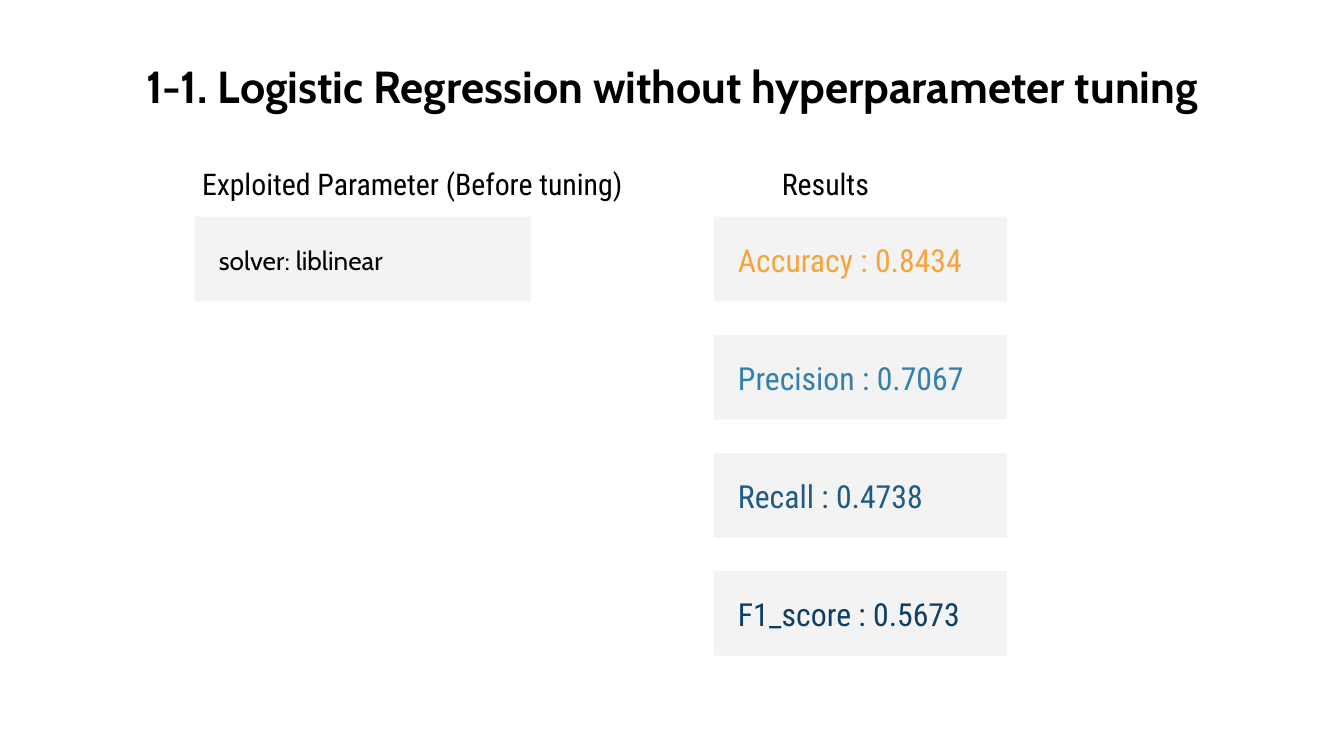
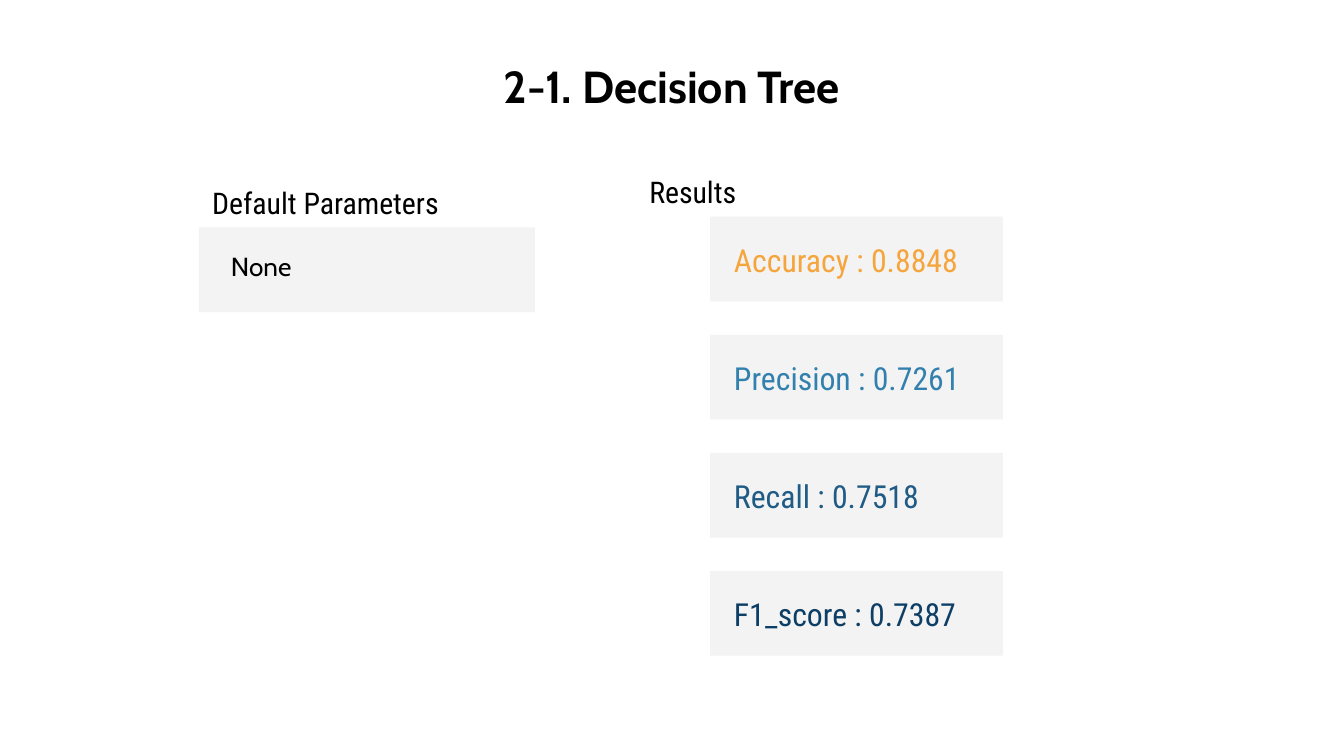
"""Build two slides that report classifier parameters and scores."""
import pptx
import pptx.util
import pptx.dml.color
import pptx.enum.shapes
import pptx.enum.text

RGBColor = pptx.dml.color.RGBColor
ALIGN = pptx.enum.text.PP_ALIGN
ANCHOR = pptx.enum.text.MSO_ANCHOR

BLACK = RGBColor(0x00, 0x00, 0x00)
WHITE = RGBColor(0xFF, 0xFF, 0xFF)
CARD_GREY = RGBColor(0xF3, 0xF3, 0xF3)
ORANGE = RGBColor(0xF6, 0xA5, 0x3C)
BLUE = RGBColor(0x32, 0x80, 0xAD)
DEEP_BLUE = RGBColor(0x1F, 0x5B, 0x84)
NAVY = RGBColor(0x0D, 0x3E, 0x65)

CELL = pptx.util.Inches(0.1)
COLUMNS, ROWS = 100, 56.25
CARD_HEIGHT, HEADING_HEIGHT, LABEL_HEIGHT = 6.3, 3.7, 4.7
SCORE_WIDTH, PARAMETER_WIDTH = 21.8, 25
SCORE_TOP, SCORE_STEP = 16.13, 8.79
LABEL_INDENT, LABEL_DROP = 0.8, 0.85

TITLE = {"name": "Cabin", "size": pptx.util.Pt(24), "bold": True}
HEADING = {"name": "Roboto Condensed", "size": pptx.util.Pt(16)}
SCORE = {"name": "Roboto Condensed", "size": pptx.util.Pt(17)}
PARAMETER = {"name": "Cabin", "size": pptx.util.Pt(14)}

METRICS = [("Accuracy", ORANGE), ("Precision", BLUE),
           ("Recall", DEEP_BLUE), ("F1_score", NAVY)]

REPORTS = [
    {
        "title": "1-1. Logistic Regression without hyperparameter tuning",
        "parameter_heading": ("Exploited Parameter (Before tuning)", 14.05, 11.85, 36),
        "parameter_card": (14.5, 16.13),
        "parameter": ("solver: liblinear", 15.3, 17, LABEL_HEIGHT),
        "results_heading": ("Results", 57.2, 11.85, 11.3),
        "scores_left": 53.12,
        "label_width": 20.2,
        "scores": ["0.8434", "0.7067", "0.4738", "0.5673"],
    },
    {
        "title": "2-1. Decision Tree",
        "parameter_heading": ("Default Parameters", 14.8, 13.25, 20.6),
        "parameter_card": (14.8, 16.93),
        "parameter": ("None", 16.2, 16.65, CARD_HEIGHT),
        "results_heading": ("Results", 47.33, 12.45, 35.6),
        "scores_left": 52.83,
        "label_width": 38.4,
        "scores": ["0.8848", "0.7261", "0.7518", "0.7387"],
    },
]


def cells(*counts):
    """Convert grid cells to slide lengths."""
    return [pptx.util.Emu(round(count * CELL)) for count in counts]


def add_text(slide, text, area, font, color=BLACK, inset=1,
             anchor=ANCHOR.MIDDLE, alignment=ALIGN.LEFT):
    """Add a one-paragraph text box on the grid."""
    frame = slide.shapes.add_textbox(*cells(*area)).text_frame
    vertical_inset, = cells(inset)
    layout = {"word_wrap": True, "vertical_anchor": anchor,
              "margin_top": vertical_inset, "margin_bottom": vertical_inset}
    for name, value in layout.items():
        setattr(frame, name, value)
    paragraph = frame.paragraphs[0]
    paragraph.alignment = alignment
    run = paragraph.add_run()
    run.text = text
    for name, value in font.items():
        setattr(run.font, name, value)
    run.font.color.rgb = color


def add_heading(slide, text, left, top, width):
    """Add a heading above a group of cards."""
    add_text(slide, text, (left, top, width, HEADING_HEIGHT), HEADING,
             inset=0.5, anchor=ANCHOR.TOP)


def add_card(slide, left, top, width):
    """Add a plain grey card."""
    shape = slide.shapes.add_shape(pptx.enum.shapes.MSO_SHAPE.RECTANGLE,
                                   *cells(left, top, width, CARD_HEIGHT))
    shape.shadow.inherit = False
    shape.fill.solid()
    shape.fill.fore_color.rgb = CARD_GREY
    shape.line.fill.background()


def add_parameter(slide, report):
    """Add the parameter heading, card and value."""
    add_card(slide, *report["parameter_card"], PARAMETER_WIDTH)
    add_heading(slide, *report["parameter_heading"])
    text, left, top, height = report["parameter"]
    add_text(slide, text, (left, top, 22.2, height), PARAMETER)


def add_scores(slide, report):
    """Add the results heading and one card per metric."""
    add_heading(slide, *report["results_heading"])
    left = report["scores_left"]
    for index, ((metric, color), score) in enumerate(zip(METRICS, report["scores"])):
        top = SCORE_TOP + index * SCORE_STEP
        add_card(slide, left, top, SCORE_WIDTH)
        area = (left + LABEL_INDENT, top + LABEL_DROP,
                report["label_width"], LABEL_HEIGHT)
        add_text(slide, f"{metric} : {score}", area, SCORE, color)


def add_report(presentation, report):
    """Add one slide for a classifier."""
    slide = presentation.slides.add_slide(presentation.slide_layouts[6])
    slide.background.fill.solid()
    slide.background.fill.fore_color.rgb = WHITE
    add_text(slide, report["title"], (2, 3.4, COLUMNS - 4, 6.3), TITLE,
             anchor=ANCHOR.TOP, alignment=ALIGN.CENTER)
    add_scores(slide, report)
    add_parameter(slide, report)


def main():
    """Build and save the presentation."""
    presentation = pptx.Presentation()
    presentation.slide_width, presentation.slide_height = cells(COLUMNS, ROWS)
    for report in REPORTS:
        add_report(presentation, report)
    presentation.save("out.pptx")


if __name__ == "__main__":
    main()
